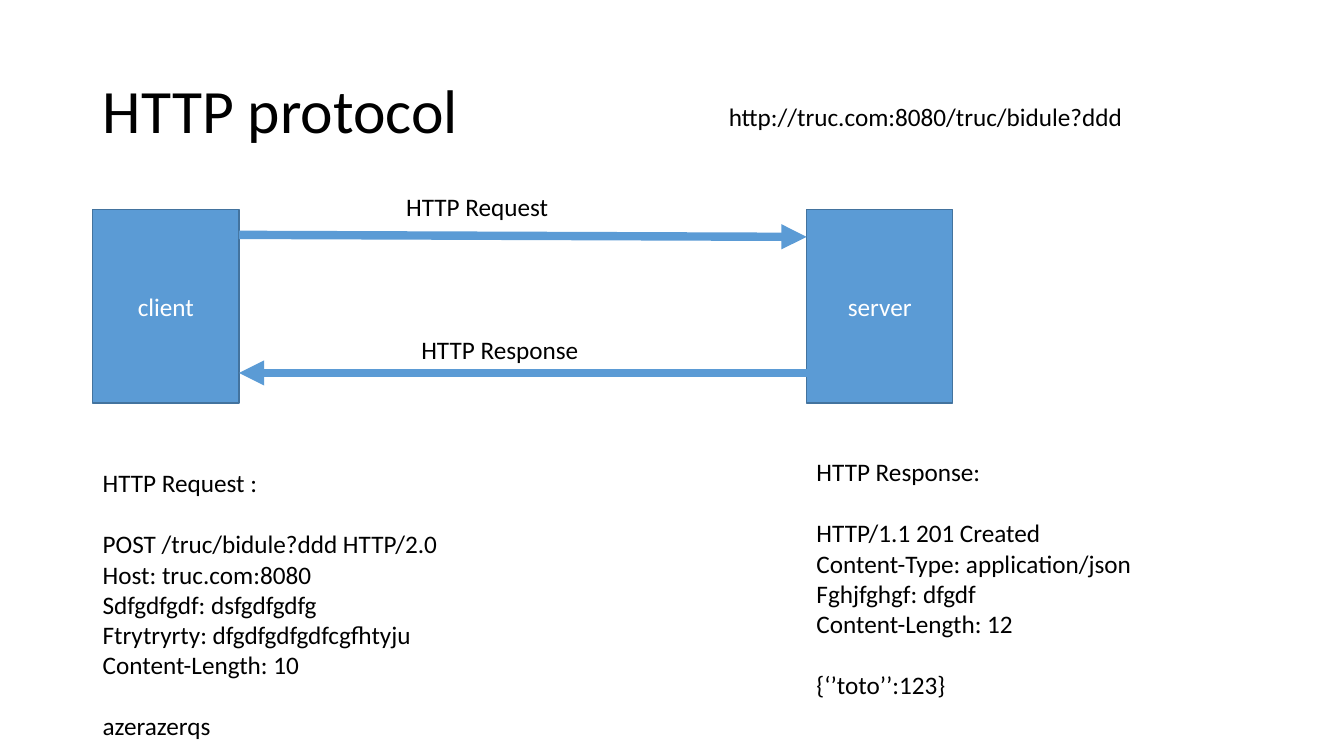
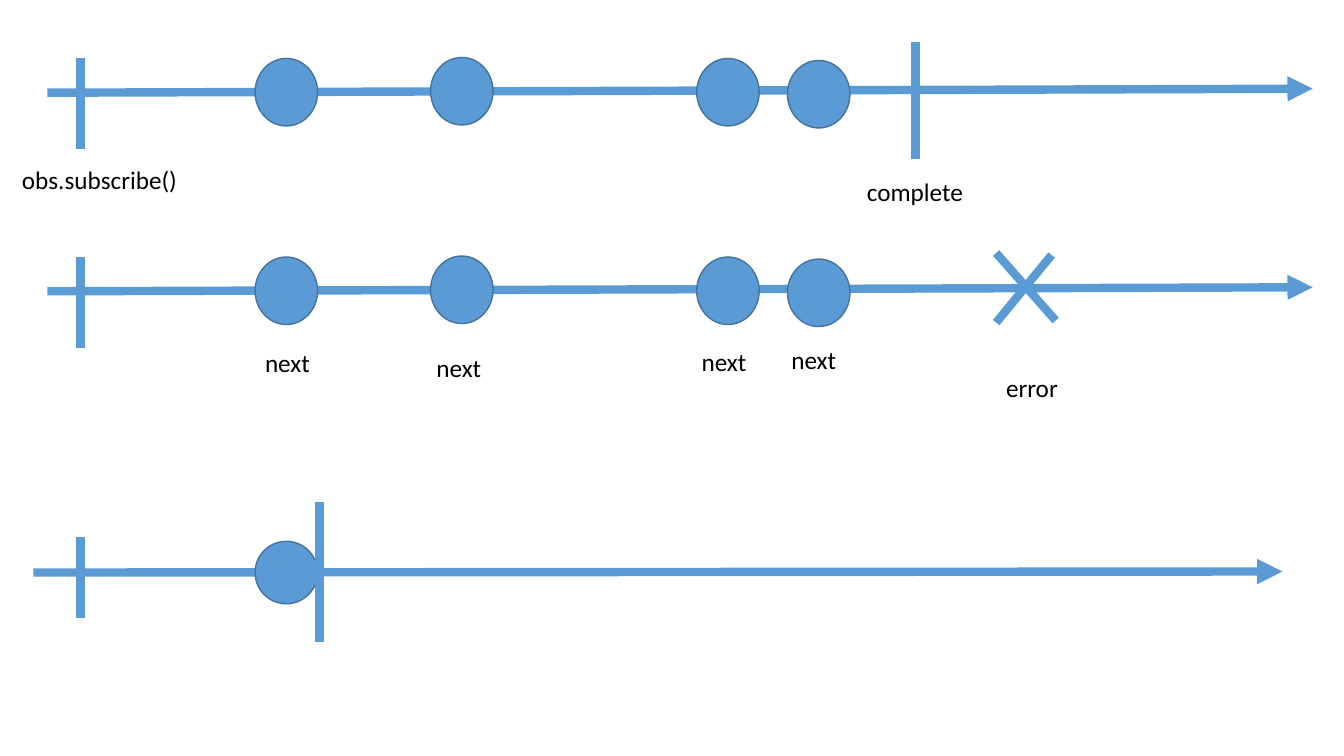
import pptx
import pptx.util
import pptx.dml.color
import pptx.enum.shapes
import pptx.enum.text
import pptx.oxml.ns
import lxml.etree
from dataclasses import dataclass

Inches, Pt = pptx.util.Inches, pptx.util.Pt
Shape = pptx.enum.shapes.MSO_SHAPE
Align = pptx.enum.text.PP_ALIGN
Anchor = pptx.enum.text.MSO_ANCHOR
AutoSize = pptx.enum.text.MSO_AUTO_SIZE
qn = pptx.oxml.ns.qn


@dataclass(frozen=True)
class Theme:
    font: str = "Calibri"
    text: str = "000000"
    inverse: str = "FFFFFF"
    accent: str = "5B9BD5"
    outline: str = "43739E"
    title_size: int = 44
    body_size: int = 18
    blank_line: int = 22
    outline_width: int = 1
    stroke: int = 6


THEME = Theme()

# Content: HTTP exchange
TITLE = "HTTP protocol"
URL = ("http://truc.com:8080/truc/bidule?ddd", 7.13, 0.96, 4.16)
CLIENT_LEFT, SERVER_LEFT = 0.92, 8
PEER_TOP, PEER_WIDTH, PEER_HEIGHT = 2.08, 1.45, 1.92
PEERS = [("client", CLIENT_LEFT), ("server", SERVER_LEFT)]
CLIENT_EDGE = CLIENT_LEFT + PEER_WIDTH
EXCHANGES = [  # label, its left, top and width, then arrow start and end
    (("HTTP Request", 3.93, 1.85, 1.63), (CLIENT_EDGE, 2.33), (SERVER_LEFT, 2.35)),
    (("HTTP Response", 4.08, 3.27, 1.78), (SERVER_LEFT, 3.7), (CLIENT_EDGE, 3.7)),
]
MESSAGES = [  # left, top, width, height, parts (heading, headers, body)
    (CLIENT_LEFT, 4.59, 3.56, 2.83, [
        ["HTTP Request :"],
        ["POST /truc/bidule?ddd HTTP/2.0", "Host: truc.com:8080", "Sdfgdfgdf: dsfgdfgdfg",
         "Ftrytryrty: dfgdfgdfgdfcgfhtyju", "Content-Length: 10"],
        ["azerazerqs"]]),
    (SERVER_LEFT, 4.48, 3.37, 2.52, [
        ["HTTP Response:"],
        ["HTTP/1.1 201 Created", "Content-Type: application/json", "Fghjfghgf: dfgdf",
         "Content-Length: 12"],
        ["{‘’toto’’:123}"]]),
]

# Content: observable streams; heights are measured from the start of each axis
SUBSCRIBE_X, DOT_WIDTH = 0.8, 0.62
FOUR_EVENTS = [(2.53, -0.34), (4.27, -0.35), (6.91, -0.34), (7.81, -0.32)]
STREAMS = [
    dict(axis=(0.47, 13.02), y=0.92, rise=0.04, subscribe=(-0.34, 0.56),
         events=FOUR_EVENTS, dot_height=0.67,
         ending=[((9.08, -0.5), (9.08, 0.66))]),
    dict(axis=(0.47, 13.02), y=2.89, rise=0.04, subscribe=(-0.34, 0.56),
         events=FOUR_EVENTS, dot_height=0.67,
         ending=[((9.88, -0.38), (10.47, 0.29)), ((10.43, -0.36), (9.88, 0.31))]),
    dict(axis=(0.33, 12.72), y=5.68, rise=0.01, subscribe=(-0.35, 0.45),
         events=[(2.53, -0.31)], dot_height=0.62,
         ending=[((3.17, -0.7), (3.17, 0.69))]),
]
STREAM_LABELS = [
    ("obs.subscribe()", 0.12, 1.58, 1.76), ("complete", 8.5, 1.7, 1.17),
    ("error", 9.88, 3.64, 0.72),
    ("next", 2.53, 3.4, 0.65), ("next", 4.23, 3.45, 0.65),
    ("next", 6.86, 3.39, 0.65), ("next", 7.75, 3.37, 0.65),
]


# Shared building blocks
def rgb(value):
    return pptx.dml.color.RGBColor.from_string(value)


def style(paragraph, size=THEME.body_size, color=THEME.text, align=Align.LEFT):
    paragraph.alignment = align
    paragraph.font.name = THEME.font
    paragraph.font.size = Pt(size)
    paragraph.font.color.rgb = rgb(color)


def add_text(slide, parts, left, top, width, height=0.4):
    frame = slide.shapes.add_textbox(*map(Inches, (left, top, width, height))).text_frame
    frame.word_wrap = False
    frame.auto_size = AutoSize.SHAPE_TO_FIT_TEXT
    frame.text = "\n".join(line for part in parts for line in part)
    for paragraph in frame.paragraphs:
        style(paragraph)
    first_line = 0
    for part in parts[:-1]:
        first_line += len(part)
        frame.paragraphs[first_line].space_before = Pt(THEME.blank_line)


def add_label(slide, text, left, top, width):
    add_text(slide, [[text]], left, top, width)


def add_solid(slide, kind, left, top, width, height):
    solid = slide.shapes.add_shape(kind, *map(Inches, (left, top, width, height)))
    solid.shadow.inherit = False
    solid.fill.solid()
    solid.fill.fore_color.rgb = rgb(THEME.accent)
    solid.line.color.rgb = rgb(THEME.outline)
    solid.line.width = Pt(THEME.outline_width)
    return solid


def add_stroke(slide, start, end, arrow=False):
    stroke = slide.shapes.add_connector(
        pptx.enum.shapes.MSO_CONNECTOR.STRAIGHT, *map(Inches, (*start, *end)))
    stroke.line.color.rgb = rgb(THEME.accent)
    stroke.line.width = Pt(THEME.stroke)
    properties = stroke.element.spPr
    if arrow:
        lxml.etree.SubElement(properties.find(qn("a:ln")), qn("a:tailEnd"), type="triangle")
    lxml.etree.SubElement(properties, qn("a:effectLst"))


def add_title(slide, text):
    title = slide.shapes.title
    title.left, title.top, title.width, title.height = map(Inches, (0.92, 0.4, 11.5, 1.45))
    frame = title.text_frame
    frame.text = text
    frame.auto_size = AutoSize.NONE
    frame.vertical_anchor = Anchor.MIDDLE
    style(frame.paragraphs[0], THEME.title_size)
    frame.paragraphs[0].line_spacing = 0.9


def add_stream(slide, axis, y, rise, subscribe, events, dot_height, ending):
    add_stroke(slide, (axis[0], y), (axis[1], y - rise), arrow=True)
    above, below = subscribe
    add_stroke(slide, (SUBSCRIBE_X, y + above), (SUBSCRIBE_X, y + below))
    for left, offset in events:
        add_solid(slide, Shape.OVAL, left, y + offset, DOT_WIDTH, dot_height)
    for (x1, y1), (x2, y2) in ending:
        add_stroke(slide, (x1, y + y1), (x2, y + y2))


deck = pptx.Presentation()
deck.slide_width, deck.slide_height = Inches(13.33), Inches(7.5)
TITLE_ONLY, BLANK = deck.slide_layouts[5], deck.slide_layouts[6]

# Slide 1: HTTP protocol
http = deck.slides.add_slide(TITLE_ONLY)
add_title(http, TITLE)
add_label(http, *URL)
for name, left in PEERS:
    peer = add_solid(http, Shape.RECTANGLE, left, PEER_TOP, PEER_WIDTH, PEER_HEIGHT)
    peer.text_frame.text = name
    peer.text_frame.vertical_anchor = Anchor.MIDDLE
    style(peer.text_frame.paragraphs[0], color=THEME.inverse, align=Align.CENTER)
for label, start, end in EXCHANGES:
    add_stroke(http, start, end, arrow=True)
    add_label(http, *label)
for left, top, width, height, parts in MESSAGES:
    add_text(http, parts, left, top, width, height)

# Slide 2: observable streams
observables = deck.slides.add_slide(BLANK)
for stream in STREAMS:
    add_stream(observables, **stream)
for label in STREAM_LABELS:
    add_label(observables, *label)

deck.save("out.pptx")
